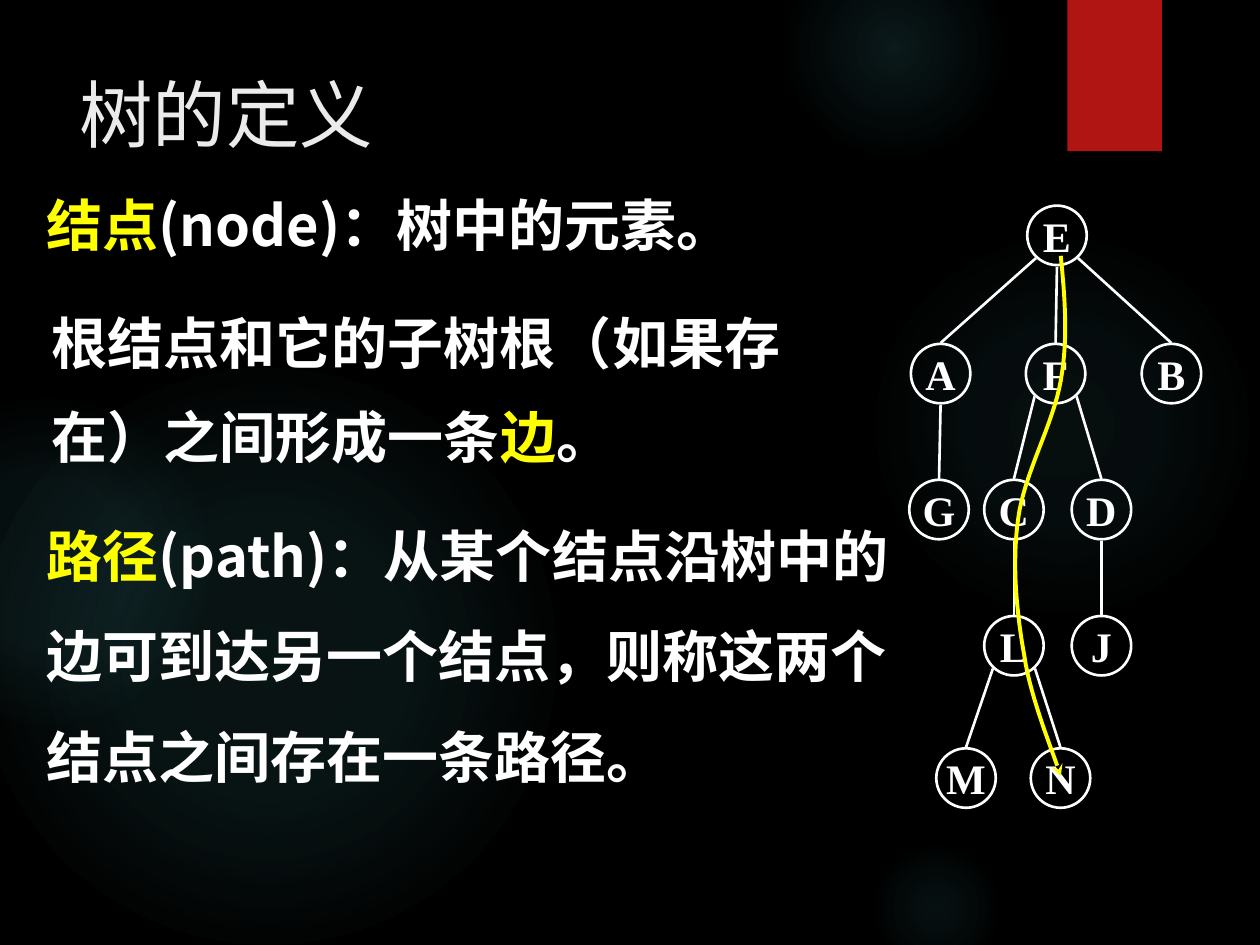
"""Build a slide that defines tree nodes, edges and paths beside a tree diagram."""
from lxml import etree
from pptx import Presentation
from pptx.dml.color import RGBColor
from pptx.enum.shapes import MSO_CONNECTOR, MSO_SHAPE
from pptx.enum.text import MSO_ANCHOR, PP_ALIGN
from pptx.oxml import parse_xml
from pptx.oxml.ns import nsdecls, qn
from pptx.util import Pt

OVAL, RECTANGLE = MSO_SHAPE.OVAL, MSO_SHAPE.RECTANGLE
STRAIGHT = MSO_CONNECTOR.STRAIGHT
TOP, MIDDLE = MSO_ANCHOR.TOP, MSO_ANCHOR.MIDDLE
LEFT, CENTER = PP_ALIGN.LEFT, PP_ALIGN.CENTER
WHITE, YELLOW = "FFFFFF", "FFFF00"
SANS, SERIF = "Noto Sans CJK SC", "Times New Roman"


def color(hex_string):
    """Turn a hex string into a colour."""
    return RGBColor.from_string(hex_string)


def add_run(paragraph, text, size, font_name, hex_string, bold=True):
    """Add one formatted run to a paragraph."""
    run = paragraph.add_run()
    run.text = text
    run.font.size = Pt(size)
    run.font.name = font_name
    run.font.bold = bold
    run.font.color.rgb = color(hex_string)
    if font_name == SANS:
        east_asian = etree.SubElement(run.font._element, qn("a:ea"))
        east_asian.set("typeface", font_name)


presentation = Presentation()
presentation.slide_width, presentation.slide_height = Pt(720), Pt(540)
slide = presentation.slides.add_slide(presentation.slide_layouts[5])
shapes = slide.shapes
slide.background.fill.solid()
slide.background.fill.fore_color.rgb = color("000000")

glows = [
    (496, 132, 222, [(0, 7), (36, 6), (69, 0)]),
    (448, -36, 126, [(0, 14), (36, 7), (73, 0)]),
    (496, 480, 78, [(0, 9), (36, 5), (66, 0)]),
    (-12, 210, 330, [(0, 11), (36, 10), (75, 0)]),
    (-66, 228, 186, [(0, 8), (36, 8), (72, 0)]),
]
for left, top, size, stops in glows:
    glow = shapes.add_shape(OVAL, Pt(left), Pt(top), Pt(size), Pt(size))
    glow.shadow.inherit = False
    glow.line.fill.background()
    glow.fill.background()
    stop_xml = "".join(
        f'<a:gs pos="{position * 1000}"><a:srgbClr val="50B9C1">'
        f'<a:alpha val="{alpha * 1000}"/></a:srgbClr></a:gs>'
        for position, alpha in stops
    )
    gradient = parse_xml(
        f'<a:gradFill {nsdecls("a")} rotWithShape="1"><a:gsLst>{stop_xml}</a:gsLst>'
        '<a:path path="circle"><a:fillToRect l="50000" t="50000" r="50000" b="50000"/>'
        "</a:path></a:gradFill>"
    )
    properties = glow.element.spPr
    properties.replace(properties.find(qn("a:noFill")), gradient)

ribbon = shapes.add_shape(RECTANGLE, Pt(610), Pt(0), Pt(54), Pt(86.4))
ribbon.shadow.inherit = False
ribbon.fill.solid()
ribbon.fill.fore_color.rgb = color("B01513")
ribbon.line.fill.background()

title = shapes.title
title.left, title.top, title.width, title.height = Pt(38), Pt(36), Pt(388), Pt(110)
title.text_frame.vertical_anchor = TOP
title.text_frame.paragraphs[0].alignment = LEFT
add_run(title.text_frame.paragraphs[0], "树的定义", 42, SERIF, "EBEBEB", False)

definitions = [
    (19.5, 90, 492, 112, 1.4, [("结点", YELLOW), ("(node)：树中的元素。", WHITE)]),
    (22.5, 157.5, 434, 116, 1.4, [
        ("根结点和它的子树根（如果存在）之间形成一条", WHITE), ("边", YELLOW), ("。", WHITE)]),
    (19.5, 275, 495.4, 181, 1.5, [
        ("路径", YELLOW),
        ("(path)：从某个结点沿树中的边可到达另一个结点，则称这两个结点之间存在一条路径。", WHITE)]),
]
for left, top, width, height, spacing, runs in definitions:
    box = shapes.add_textbox(Pt(left), Pt(top), Pt(width), Pt(height))
    box.text_frame.word_wrap = True
    paragraph = box.text_frame.paragraphs[0]
    paragraph.line_spacing = spacing
    for text, hex_string in runs:
        add_run(paragraph, text, 32, SANS, hex_string)

diameter = 34
rows = [134.5, 213.5, 291.2, 369, 444.6]
nodes = {
    "E": (604, 0), "A": (537.5, 1), "F": (603.2, 1), "B": (669.4, 1),
    "G": (536.6, 2), "C": (579.4, 2), "D": (629.4, 2),
    "L": (579.4, 3), "J": (629.4, 3), "M": (552, 4), "N": (606, 4),
}
for letter, (x, row) in nodes.items():
    node = shapes.add_shape(
        OVAL, Pt(x - diameter / 2), Pt(rows[row] - diameter / 2), Pt(diameter), Pt(diameter))
    node.shadow.inherit = False
    node.fill.background()
    node.line.color.rgb = color(WHITE)
    node.line.width = Pt(1.5)
    node.text_frame.word_wrap = False
    node.text_frame.vertical_anchor = MIDDLE
    node.text_frame.paragraphs[0].alignment = CENTER
    add_run(node.text_frame.paragraphs[0], letter, 24, SERIF, WHITE)

for parent, child in ["EA", "EF", "EB", "AG", "FC", "FD", "CL", "DJ", "LM", "LN"]:
    (parent_x, parent_row), (child_x, child_row) = nodes[parent], nodes[child]
    offset = child_x - parent_x
    if abs(offset) < 2:
        start_x, drop = parent_x, 18
    else:
        start_x, drop = parent_x + (12 if offset > 0 else -12), 13
    edge = shapes.add_connector(
        STRAIGHT, Pt(start_x), Pt(rows[parent_row] + drop),
        Pt(child_x), Pt(rows[child_row] - 17.5))
    edge.line.color.rgb = color(WHITE)
    edge.line.width = Pt(1.5)
    etree.SubElement(edge.element.spPr, qn("a:effectLst"))

curve = [
    (606.2, 146.2), (608.4, 169.2), (610.6, 193), (606.2, 217.4),
    (601.9, 242.6), (585.4, 270), (581.8, 296.6),
    (578.2, 322.6), (581, 350.6), (585.4, 375.1),
    (589, 399.6), (602.6, 432), (606.2, 443.5),
]
steps = 16
points = []
for first in range(0, len(curve) - 1, 3):
    for step in range(1, steps + 1):
        t = step / steps
        weights = [(1 - t) ** 3, 3 * t * (1 - t) ** 2, 3 * t ** 2 * (1 - t), t ** 3]
        corners = curve[first:first + 4]
        points.append(tuple(
            Pt(sum(weight * corner[axis] for weight, corner in zip(weights, corners)))
            for axis in (0, 1)))
builder = shapes.build_freeform(Pt(curve[0][0]), Pt(curve[0][1]))
builder.add_line_segments(points, close=False)
route = builder.convert_to_shape()
route.shadow.inherit = False
route.fill.background()
route.line.color.rgb = color(YELLOW)
route.line.width = Pt(2.25)
etree.SubElement(route.element.spPr.find(qn("a:ln")), qn("a:tailEnd")).set("type", "stealth")

presentation.save("out.pptx")
